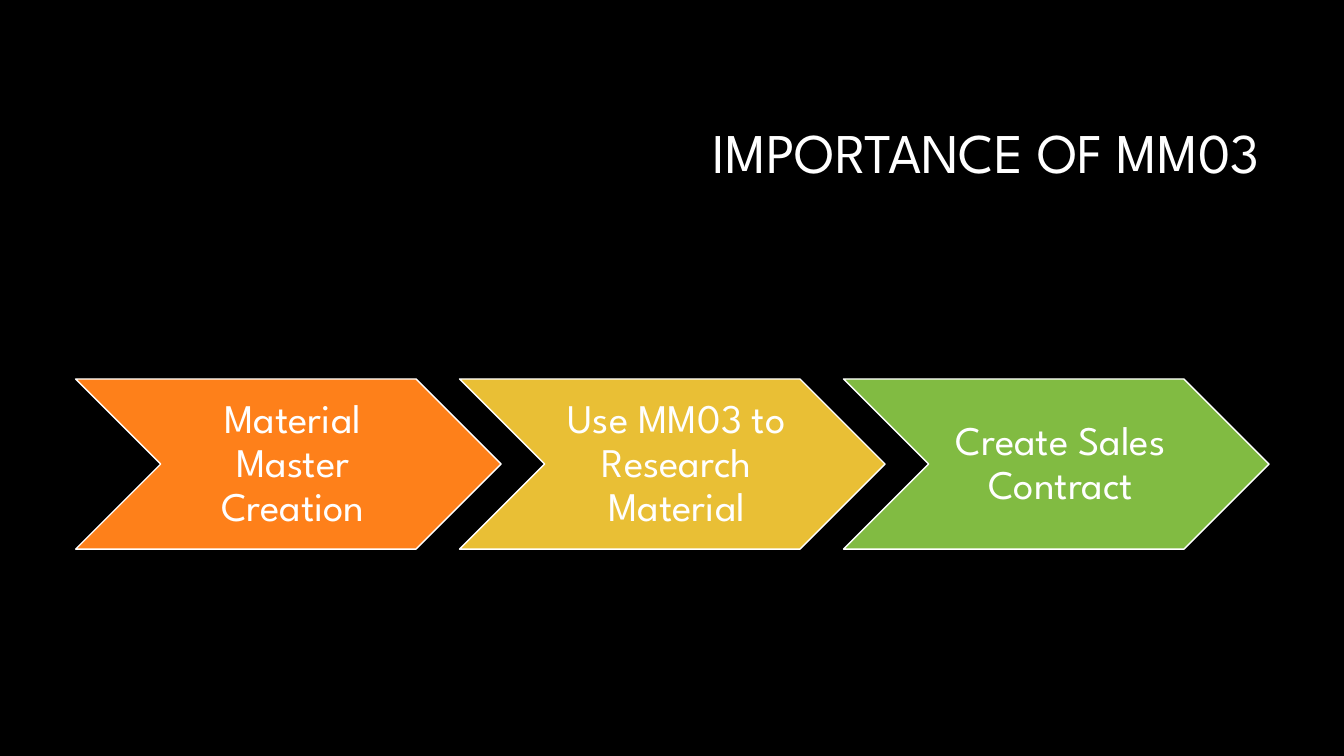
from pptx import Presentation
from pptx.dml.color import RGBColor
from pptx.enum.shapes import MSO_SHAPE
from pptx.enum.text import MSO_ANCHOR, PP_ALIGN
from pptx.util import Inches, Pt

BLACK = RGBColor(0x00, 0x00, 0x00)
WHITE = RGBColor(0xFF, 0xFF, 0xFF)
ORANGE = RGBColor(0xFE, 0x80, 0x1A)
YELLOW = RGBColor(0xE9, 0xBF, 0x35)
GREEN = RGBColor(0x81, 0xBB, 0x42)

FONT = "League Spartan"
TITLE = "IMPORTANCE OF MM03"
STEPS = [
    ("Material Master Creation", ORANGE),
    ("Use MM03 to Research Material", YELLOW),
    ("Create Sales Contract", GREEN),
]

SLIDE_WIDTH, SLIDE_HEIGHT = 13.33, 7.5
FLOW_LEFT, FLOW_TOP = 0.75, 3.76
STEP_WIDTH = 4.22
STEP_HEIGHT = STEP_WIDTH * 0.4
STEP_PITCH = STEP_WIDTH * 0.9 + 0.01


def write_text(shape, text, size, alignment):
    frame = shape.text_frame
    frame.word_wrap = True
    frame.vertical_anchor = MSO_ANCHOR.MIDDLE
    para = frame.paragraphs[0]
    para.alignment = alignment
    para.line_spacing = 0.9
    span = para.add_run()
    span.text = text
    span.font.name = FONT
    span.font.size = Pt(size)
    span.font.color.rgb = WHITE


def add_step(page, index, text, color):
    chevron = page.shapes.add_shape(
        MSO_SHAPE.CHEVRON,
        Inches(FLOW_LEFT + index * STEP_PITCH), Inches(FLOW_TOP),
        Inches(STEP_WIDTH), Inches(STEP_HEIGHT),
    )
    chevron.shadow.inherit = False
    chevron.fill.solid()
    chevron.fill.fore_color.rgb = color
    chevron.line.color.rgb = WHITE
    chevron.line.width = Pt(1)
    frame = chevron.text_frame
    frame.margin_left = Inches(0.13)
    frame.margin_top = frame.margin_right = frame.margin_bottom = Inches(0.04)
    write_text(chevron, text, 29, PP_ALIGN.CENTER)


def main():
    deck = Presentation()
    deck.slide_width = Inches(SLIDE_WIDTH)
    deck.slide_height = Inches(SLIDE_HEIGHT)
    page = deck.slides.add_slide(deck.slide_layouts[6])
    page.background.fill.solid()
    page.background.fill.fore_color.rgb = BLACK

    title_box = page.shapes.add_textbox(
        Inches(3.17), Inches(0.84), Inches(9.42), Inches(1.41))
    write_text(title_box, TITLE, 40, PP_ALIGN.RIGHT)

    for index, (text, color) in enumerate(STEPS):
        add_step(page, index, text, color)

    deck.save("out.pptx")


if __name__ == "__main__":
    main()
